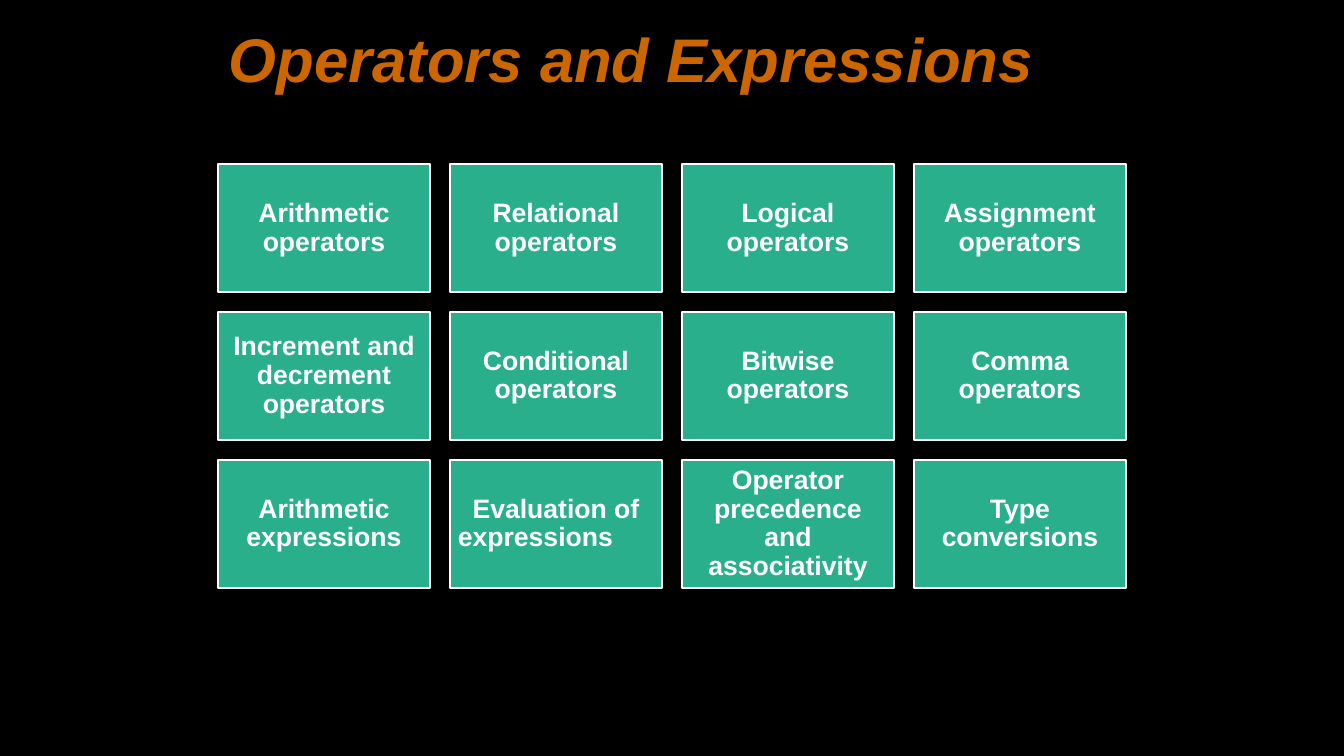
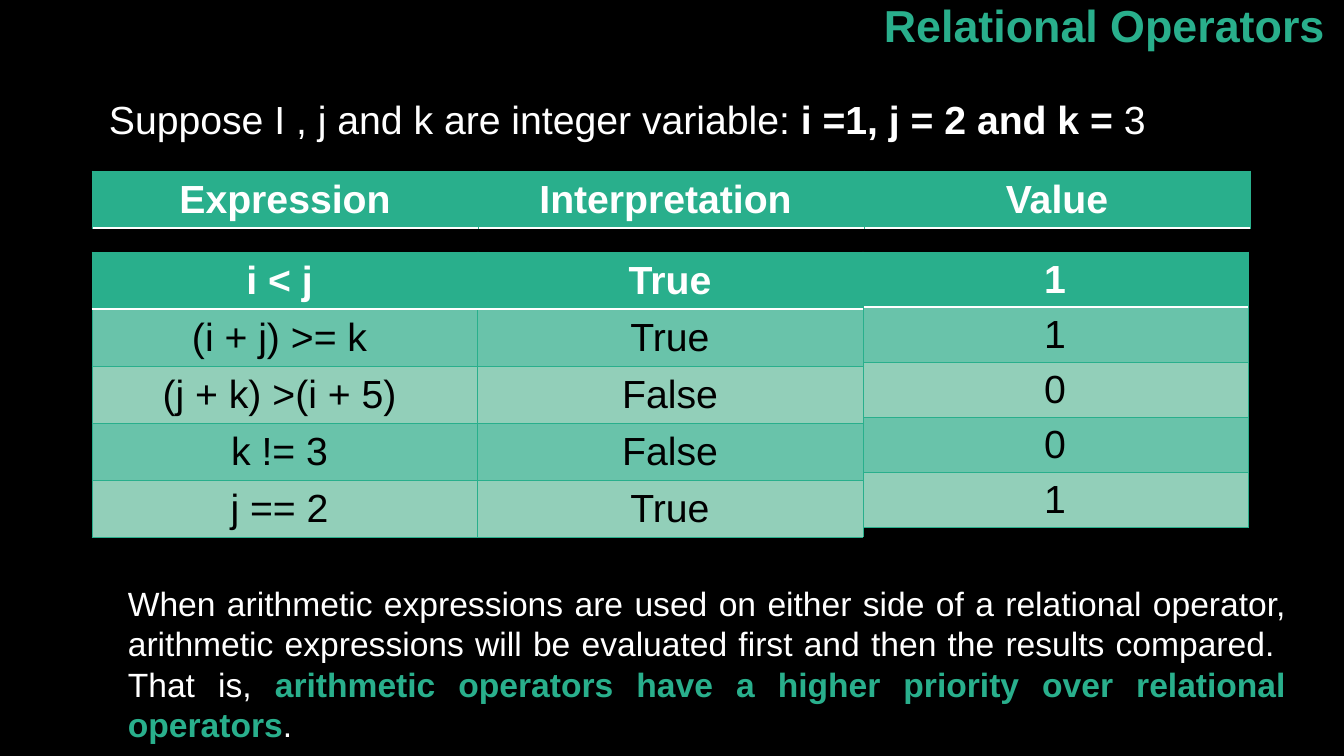
from lxml.etree import SubElement
from pptx import Presentation
from pptx.dml.color import RGBColor
from pptx.enum.shapes import MSO_SHAPE as SHAPE
from pptx.enum.text import MSO_ANCHOR as ANCHOR, PP_ALIGN as ALIGN
from pptx.oxml.ns import qn
from pptx.util import Pt

EMU_PER_PX = 914400 / 100.8
SLIDE_W, SLIDE_H = 1344, 756
FONT = "Arial"
BLACK, WHITE, GREEN, ORANGE = "000000", "FFFFFF", "29AF8C", "CC6600"
BANDS = ["69C3AA", "92CFB9"]

OPERATOR_TOPICS = [
    ["Arithmetic operators", "Relational operators",
     "Logical operators", "Assignment operators"],
    ["Increment and decrement operators", "Conditional operators",
     "Bitwise operators", "Comma operators"],
    ["Arithmetic expressions", "Evaluation of expressions\t",
     "Operator precedence and associativity", "Type conversions"],
]
HEADINGS = ["Expression", "Interpretation ", "Value"]
EXPRESSIONS = ["i < j ", "(i + j) >= k ", "(j + k) >(i + 5) ", "k != 3 ", "j == 2 "]
INTERPRETATIONS = ["True", "True", "False", "False", "True"]
VALUES = ["1", "1", "0", "0", "1"]


def px(n):
    return round(n * EMU_PER_PX)


def rgb(color):
    return RGBColor.from_string(color)


def write(tf, runs, size, color=WHITE, bold=False, italic=False,
          align=ALIGN.LEFT, spacing=1.0):
    """Write one paragraph; runs is a string or (text, color, bold) tuples."""
    if isinstance(runs, str):
        runs = [(runs, color, bold)]
    p = tf.paragraphs[0]
    p.alignment, p.line_spacing = align, spacing
    for text, run_color, run_bold in runs:
        r = p.add_run()
        r.text = text
        r.font.name, r.font.size = FONT, Pt(size)
        r.font.bold, r.font.italic = run_bold, italic
        r.font.color.rgb = rgb(run_color)


def add_text(s, box, runs, size, anchor=ANCHOR.TOP, **fmt):
    tf = s.shapes.add_textbox(*map(px, box)).text_frame
    tf.word_wrap, tf.vertical_anchor = True, anchor
    write(tf, runs, size, **fmt)


def add_title(s, box, text, size, **fmt):
    add_text(s, box, text, size, anchor=ANCHOR.MIDDLE, bold=True, spacing=0.9, **fmt)


def add_slide(prs):
    s = prs.slides.add_slide(prs.slide_layouts[6])
    s.background.fill.solid()
    s.background.fill.fore_color.rgb = rgb(BLACK)
    return s


def add_tile(s, box, text):
    sp = s.shapes.add_shape(SHAPE.RECTANGLE, *map(px, box))
    sp.shadow.inherit = False
    sp.fill.solid()
    sp.fill.fore_color.rgb = rgb(GREEN)
    sp.line.color.rgb, sp.line.width = rgb(WHITE), Pt(1)
    tf = sp.text_frame
    tf.word_wrap, tf.vertical_anchor = True, ANCHOR.MIDDLE
    tf.margin_left = tf.margin_right = tf.margin_top = tf.margin_bottom = px(8)
    write(tf, text, 19, bold=True, align=ALIGN.CENTER, spacing=0.9)


def add_tile_grid(s, box, rows, gap):
    x, y, w, h = box
    tile_w = (w + gap) // len(rows[0]) - gap
    tile_h = (h + gap) // len(rows) - gap
    for i, row in enumerate(rows):
        for j, text in enumerate(row):
            left, top = x + j * (tile_w + gap), y + i * (tile_h + gap)
            add_tile(s, (left, top, tile_w, tile_h), text)


def set_borders(cell, **edges):
    """Draw the cell edges L, R, T and B, each given as (color, points)."""
    tcPr = cell._tc.get_or_add_tcPr()
    for side in "LRTB":
        color, width = edges.get(side, (GREEN, 0.5))
        ln = SubElement(tcPr, qn(f"a:ln{side}"), w=str(Pt(width)))
        SubElement(SubElement(ln, qn("a:solidFill")), qn("a:srgbClr"), val=color)


def style_cell(cell, text, row):
    """Format a cell: row 0 is the heading, the rest alternate in tint."""
    heading = row == 0
    rule = (WHITE, 1)
    if heading:
        set_borders(cell, B=rule)
    elif row == 1:
        set_borders(cell, T=rule)
    else:
        set_borders(cell)
    cell.fill.solid()
    cell.fill.fore_color.rgb = rgb(GREEN if heading else BANDS[(row - 1) % 2])
    cell.vertical_anchor = ANCHOR.MIDDLE
    cell.margin_top = cell.margin_bottom = px(4)
    write(cell.text_frame, text, 28, color=WHITE if heading else BLACK,
          bold=heading, align=ALIGN.CENTER)


def add_grid(s, x, y, col_w, row_h, rows):
    n_rows, n_cols = len(rows), len(rows[0])
    box = x, y, col_w * n_cols, row_h * n_rows
    table = s.shapes.add_table(n_rows, n_cols, *map(px, box)).table
    for col in table.columns:
        col.width = px(col_w)
    for i, row in enumerate(rows):
        table.rows[i].height = px(row_h)
        for j, text in enumerate(row):
            style_cell(table.cell(i, j), text, i)


def add_result_tables(s, x, y):
    """Place the heading row and, below it, one table for each column."""
    col_w, step, body_y = 386, 385, y + 81
    columns = [(EXPRESSIONS, 57), (INTERPRETATIONS, 57), (VALUES, 54)]
    add_grid(s, x, y, col_w, 57, [HEADINGS])
    for i in (2, 0, 1):
        texts, row_h = columns[i]
        add_grid(s, x + i * step, body_y, col_w, row_h, [[t] for t in texts])


def operators_slide(prs):
    s = add_slide(prs)
    add_title(s, (219, 0, 907, 126), "Operators and Expressions", 44,
              color=ORANGE, italic=True)
    add_tile_grid(s, (218, 164, 908, 424), OPERATOR_TOPICS, gap=20)


def relational_slide(prs):
    s = add_slide(prs)
    add_title(s, (176, 0, 1159, 56), "Relational Operators", 32,
              color=GREEN, align=ALIGN.RIGHT)
    add_text(s, (99, 90, 1159, 57), [
        ("Suppose I , j and k are integer variable: ", WHITE, False),
        ("i =1, j = 2 and k = ", WHITE, True),
        ("3", WHITE, False),
    ], 28)
    add_result_tables(s, 92, 171)
    add_text(s, (118, 578, 1178, 173), [
        ("When arithmetic expressions are used on either side of a relational "
         "operator, arithmetic expressions will be evaluated first and then the "
         "results compared.  That is, ", WHITE, False),
        ("arithmetic operators have a higher priority over relational operators",
         GREEN, True),
        (".", WHITE, False),
    ], 24, align=ALIGN.JUSTIFY)


def main():
    prs = Presentation()
    prs.slide_width, prs.slide_height = px(SLIDE_W), px(SLIDE_H)
    operators_slide(prs)
    relational_slide(prs)
    prs.save("out.pptx")


if __name__ == "__main__":
    main()
